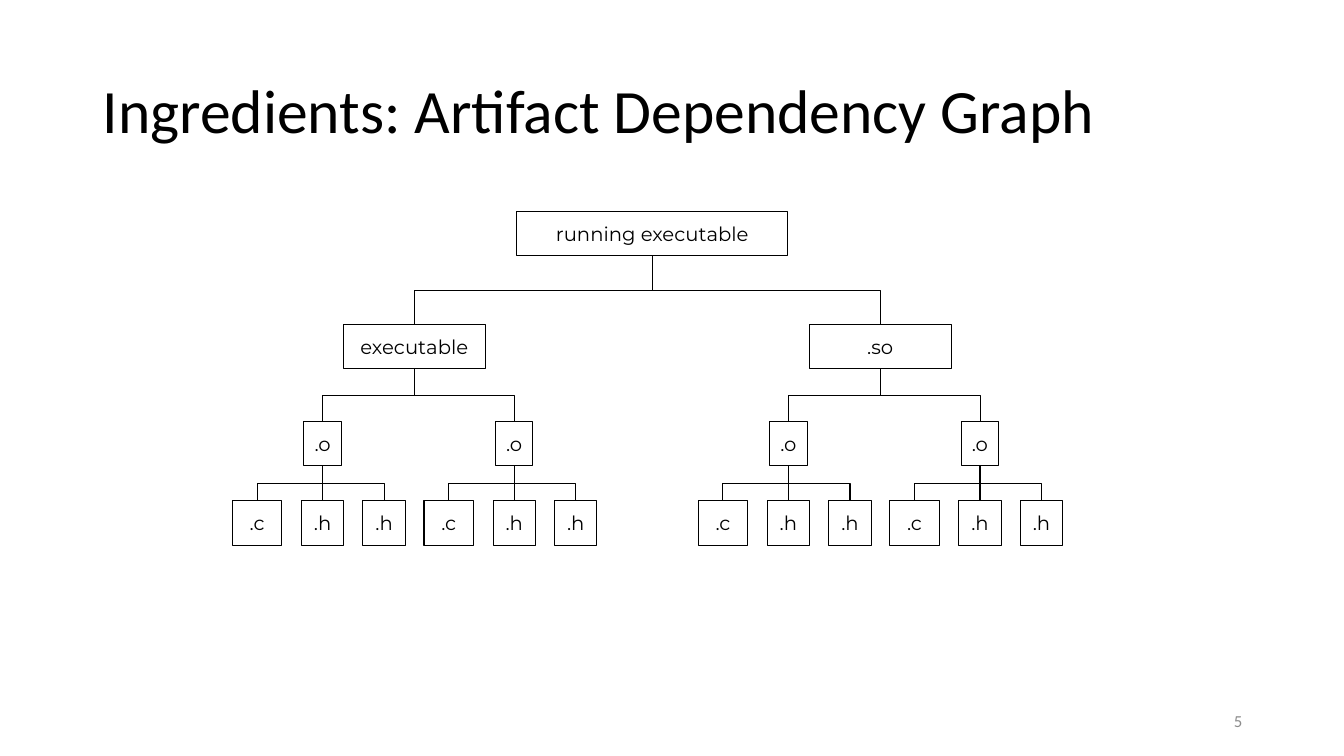
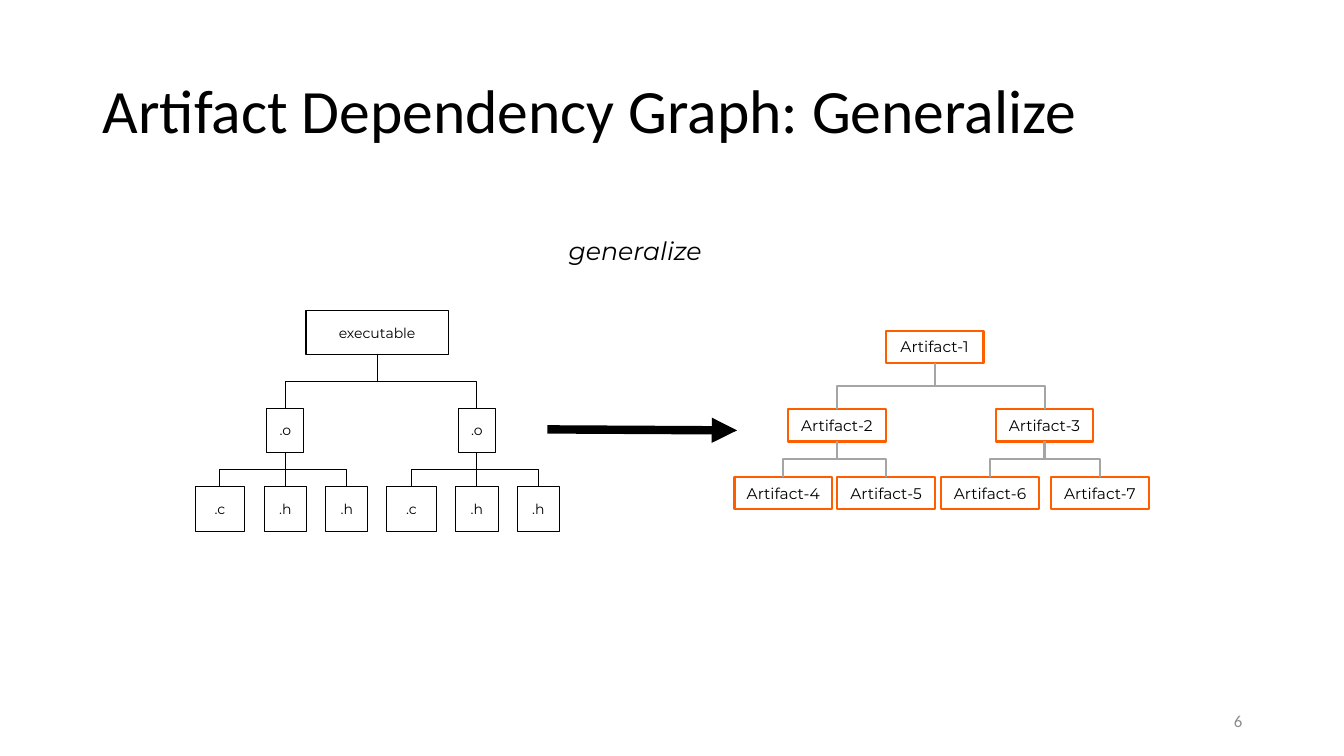
from pptx import Presentation
from pptx.dml.color import RGBColor
from pptx.enum import shapes, text
from pptx.oxml.ns import qn
from pptx.util import Inches, Pt
from lxml import etree

BLACK = RGBColor(0x00, 0x00, 0x00)
GREY = RGBColor(0x8C, 0x8C, 0x8C)
LINK_GREY = RGBColor(0xA5, 0xA5, 0xA5)
ORANGE = RGBColor(0xFF, 0x5E, 0x00)
LEFT, CENTER, RIGHT = (text.PP_ALIGN.LEFT, text.PP_ALIGN.CENTER,
                       text.PP_ALIGN.RIGHT)
TOP, MIDDLE = text.MSO_ANCHOR.TOP, text.MSO_ANCHOR.MIDDLE
BOTTOM_SITE, TOP_SITE = 2, 0

TITLE_AREA = (0.92, 0.4, 11.5, 1.45)
NUMBER_AREA = (9.42, 6.95, 3, 0.4)
TITLE_FONT = {"name": "Calibri", "size": Pt(44)}
NUMBER_FONT = {"name": "Calibri", "size": Pt(12)}
CAPTION_FONT = {"name": "Montserrat", "size": Pt(18), "italic": True}


# Content: a node is (label, centre offset from its parent, children)
def object_file(offset):
    return (".o", offset, [(".c", -0.65, []), (".h", 0, []), (".h", 0.61, [])])


def binary(label, offset=0):
    return (label, offset, [object_file(-0.91), object_file(0.99)])


RUNNING = ("running executable", 0,
           [binary("executable", -2.36), binary(".so", 2.26)])
ARTIFACTS = ("Artifact-1", 0, [
    ("Artifact-2", -0.97, [("Artifact-4", -0.53, []), ("Artifact-5", 0.49, [])]),
    ("Artifact-3", 1.09, [("Artifact-6", -0.54, []), ("Artifact-7", 0.55, [])]),
])

# Tree styles
FILE_WIDTHS = {"running executable": 2.69, "executable": 1.41, ".so": 1.41,
               ".o": 0.37, ".c": 0.49, ".h": 0.42}
FILES = {"widths": FILE_WIDTHS, "height": 0.44, "size": Pt(14),
         "border": BLACK, "link": BLACK, "weight": Pt(0.75)}
SMALL_FILES = {**FILES, "size": Pt(10)}
GENERAL = {"widths": {}, "height": 0.32, "size": Pt(11),
           "border": ORANGE, "link": LINK_GREY, "weight": Pt(1.5)}
GENERAL_WIDTH = 0.97

# Slides: each tree is (root node, root centre, top of each level, style)
SLIDES = [
    {"title": "Ingredients: Artifact Dependency Graph", "number": "5",
     "trees": [(RUNNING, 6.47, (2.1, 3.22, 4.18, 4.97), FILES)]},
    {"title": "Artifact Dependency Graph: Generalize", "number": "6",
     "trees": [(binary("executable"), 3.74, (3.08, 4.05, 4.83), SMALL_FILES),
               (ARTIFACTS, 9.27, (3.28, 4.06, 4.73), GENERAL)],
     "arrow": (5.43, 4.26, 7.31, 4.27),
     "caption": ("generalize", (5.36, 2.23, 1.88, 0.5))},
]


def set_text(frame, words, font, color=BLACK, align=CENTER, anchor=MIDDLE,
             inset=None, wrap=True, spacing=None):
    frame.word_wrap, frame.vertical_anchor = wrap, anchor
    if inset is not None:
        for side in ("left", "top", "right", "bottom"):
            setattr(frame, f"margin_{side}", Inches(inset))
    paragraph = frame.paragraphs[0]
    paragraph.alignment, paragraph.line_spacing = align, spacing
    run = paragraph.add_run()
    run.text = words
    for key, value in font.items():
        setattr(run.font, key, value)
    run.font.color.rgb = color


def add_label(slide, area, words, font, **options):
    label = slide.shapes.add_textbox(*map(Inches, area))
    set_text(label.text_frame, words, font, **options)


def add_line(slide, kind, ends, color, weight):
    line = slide.shapes.add_connector(kind, *ends)
    line.line.color.rgb, line.line.width = color, weight
    etree.SubElement(line.element.spPr, qn("a:effectLst"))
    return line


def add_box(slide, label, center, top, style):
    width = style["widths"].get(label, GENERAL_WIDTH)
    box = slide.shapes.add_shape(
        shapes.MSO_SHAPE.RECTANGLE, Inches(center - width / 2), Inches(top),
        Inches(width), Inches(style["height"]))
    box.shadow.inherit = False
    box.fill.background()
    box.line.color.rgb, box.line.width = style["border"], style["weight"]
    set_text(box.text_frame, label, {"name": "Montserrat", "size": style["size"]},
             inset=0.1, wrap=False)
    return box


def link(slide, parent, child, offset, style):
    x1, y1 = parent.left + parent.width // 2, parent.top + parent.height
    x2, y2 = child.left + child.width // 2, child.top
    kind = shapes.MSO_CONNECTOR.ELBOW if offset else shapes.MSO_CONNECTOR.STRAIGHT
    line = add_line(slide, kind, (x1, y1, x2, y2), style["link"], style["weight"])
    line.begin_connect(parent, BOTTOM_SITE)
    line.end_connect(child, TOP_SITE)
    if offset:
        # Turn the elbow so that it leaves and arrives vertically
        drop, run = y2 - y1, abs(x2 - x1)
        line.left, line.top = (x1 + x2 - drop) // 2, (y1 + y2 - run) // 2
        line.width, line.height = drop, run
        xfrm = line.element.spPr.find(qn("a:xfrm"))
        xfrm.set("rot", str((90 if offset < 0 else 270) * 60000))
        xfrm.set("flipH", "0" if offset < 0 else "1")


def add_tree(slide, node, center, tops, style):
    label, _, children = node
    box = add_box(slide, label, center, tops[0], style)
    for child in children:
        offset = child[1]
        child_box = add_tree(slide, child, center + offset, tops[1:], style)
        link(slide, box, child_box, offset, style)
    return box


def add_arrow(slide, ends):
    arrow = add_line(slide, shapes.MSO_CONNECTOR.STRAIGHT, map(Inches, ends),
                     BLACK, Pt(6))
    etree.SubElement(arrow.line._get_or_add_ln(), qn("a:tailEnd"), type="triangle")


def main():
    deck = Presentation()
    deck.slide_width, deck.slide_height = Inches(13.33), Inches(7.5)
    for content in SLIDES:
        slide = deck.slides.add_slide(deck.slide_layouts[6])
        # Title and page number
        add_label(slide, TITLE_AREA, content["title"], TITLE_FONT,
                  align=LEFT, spacing=0.9)
        add_label(slide, NUMBER_AREA, content["number"], NUMBER_FONT,
                  color=GREY, align=RIGHT)
        # Dependency trees
        for root, center, tops, style in content["trees"]:
            add_tree(slide, root, center, tops, style)
        # Step from the files to the general form
        if "arrow" in content:
            add_arrow(slide, content["arrow"])
        if "caption" in content:
            words, area = content["caption"]
            add_label(slide, area, words, CAPTION_FONT, anchor=TOP, inset=0.1)
    deck.save("out.pptx")


if __name__ == "__main__":
    main()
